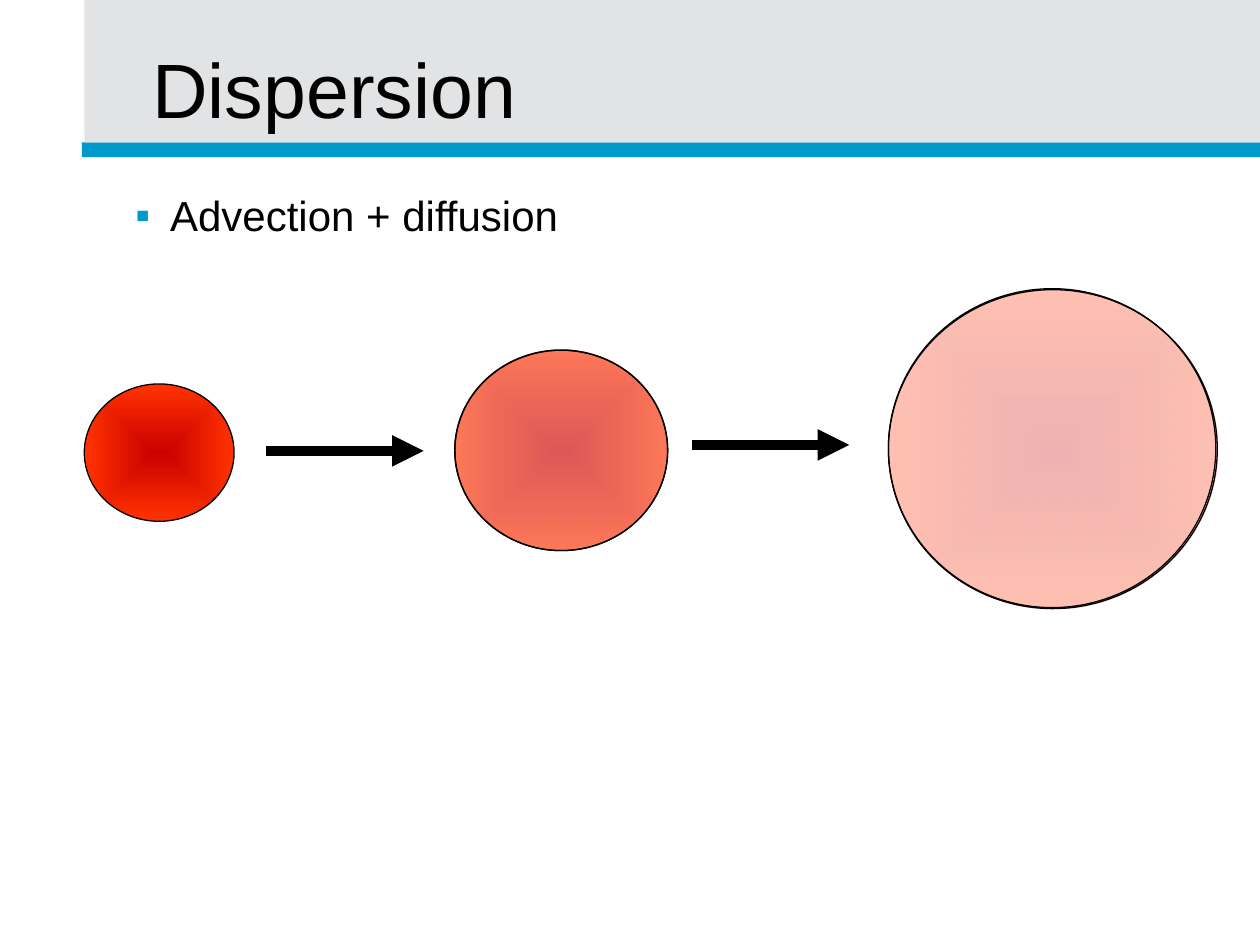
from typing import NamedTuple, Optional

from lxml import etree
from pptx import Presentation
from pptx import util as u
from pptx.dml.color import RGBColor
from pptx.enum import shapes, text
from pptx.oxml import ns

BLACK = RGBColor(0x00, 0x00, 0x00)
BLUE = RGBColor(0x00, 0x99, 0xCC)
GREY = RGBColor(0xE2, 0xE3, 0xE4)
CORE_RED = RGBColor(0xCC, 0x00, 0x00)
EDGE_RED = RGBColor(0xFF, 0x33, 0x00)
FONT = "Arial"


class Band(NamedTuple):
    left: float
    top: float
    width: float
    height: float
    color: RGBColor


class Plume(NamedTuple):
    left: float
    top: float
    width: float
    height: float
    opacity: Optional[int]


class Arrow(NamedTuple):
    left: float
    y: float


class Label(NamedTuple):
    left: float
    top: float
    width: float
    height: float
    wording: str
    size: int
    anchor: text.MSO_ANCHOR
    inset: float
    bullet: Optional[str] = None


BANDS = [
    Band(1.65, 2.87, 23.75, 0.3, BLUE),
    Band(1.7, 0, 23.7, 2.87, GREY),
]
LABELS = [
    Label(3.07, 0.23, 20.62, 2.59, "Dispersion", 44, text.MSO_ANCHOR.BOTTOM, 0.13),
    Label(1.73, 3.58, 22.81, 3.28, "Advection + diffusion", 24,
          text.MSO_ANCHOR.TOP, 0.25, "▪"),
]
PLUMES = [
    Plume(1.7, 7.74, 3.02, 2.77, 100),
    Plume(9.17, 7.06, 4.29, 4.04, 65),
    Plume(17.91, 5.84, 6.63, 6.43, 30),
]
OUTLINES = [
    Plume(9.17, 7.06, 4.29, 4.04, None),
    Plume(17.91, 5.82, 6.6, 6.43, None),
]
ARROWS = [Arrow(5.36, 9.09), Arrow(13.94, 8.97)]
ARROW_LENGTH = 3.18


def add_child(parent, tag: str, **attributes: str):
    return etree.SubElement(parent, ns.qn(tag), attributes)


def add_band(slide, band: Band) -> None:
    shape = slide.shapes.add_shape(
        shapes.MSO_SHAPE.RECTANGLE, *(u.Cm(length) for length in band[:4]))
    shape.shadow.inherit = False
    shape.fill.solid()
    shape.fill.fore_color.rgb = band.color
    shape.line.fill.background()


def add_label(slide, label: Label) -> None:
    box = slide.shapes.add_textbox(*(u.Cm(length) for length in label[:4]))
    frame = box.text_frame
    frame.text = label.wording
    frame.word_wrap = True
    frame.vertical_anchor = label.anchor
    frame.margin_left = frame.margin_right = 0
    frame.margin_top = u.Cm(label.inset)
    frame.margin_bottom = u.Cm(0.13)
    paragraph = frame.paragraphs[0]
    if label.bullet:
        properties = paragraph._p.get_or_add_pPr()
        properties.set("marL", str(u.Cm(1.7)))
        properties.set("indent", str(u.Cm(-0.7)))
        color = add_child(properties, "a:buClr")
        add_child(color, "a:srgbClr", val=str(BLUE))
        add_child(properties, "a:buFont", typeface=FONT)
        add_child(properties, "a:buChar", char=label.bullet)
    for run in paragraph.runs:
        run.font.name = FONT
        run.font.size = u.Pt(label.size)
        run.font.color.rgb = BLACK


def fill_from_core(shape, opacity: int) -> None:
    shape.fill.gradient()
    for stop, color in zip(shape.fill.gradient_stops, (CORE_RED, EDGE_RED)):
        stop.color.rgb = color
    gradient = shape._element.spPr.find(ns.qn("a:gradFill"))
    if opacity < 100:
        for color in gradient.iter(ns.qn("a:srgbClr")):
            add_child(color, "a:alpha", val=str(opacity * 1000))
    gradient.remove(gradient.find(ns.qn("a:lin")))
    path = add_child(gradient, "a:path", path="rect")
    add_child(path, "a:fillToRect", l="50000", t="50000", r="50000", b="50000")


def add_plume(slide, plume: Plume) -> None:
    shape = slide.shapes.add_shape(
        shapes.MSO_SHAPE.OVAL, *(u.Cm(length) for length in plume[:4]))
    shape.shadow.inherit = False
    if plume.opacity is None:
        shape.fill.background()
    else:
        fill_from_core(shape, plume.opacity)
    shape.line.color.rgb = BLACK
    shape.line.width = u.Pt(0.75)


def add_arrow(slide, arrow: Arrow) -> None:
    connector = slide.shapes.add_connector(
        shapes.MSO_CONNECTOR.STRAIGHT, u.Cm(arrow.left), u.Cm(arrow.y),
        u.Cm(arrow.left + ARROW_LENGTH), u.Cm(arrow.y))
    connector.line.color.rgb = BLACK
    connector.line.width = u.Pt(6)
    add_child(connector.line._get_or_add_ln(), "a:tailEnd", type="triangle")
    add_child(connector._element.spPr, "a:effectLst")


def main() -> None:
    """Build the slide on dispersion as spreading, fading plumes."""
    presentation = Presentation()
    presentation.slide_width = u.Cm(25.4)
    presentation.slide_height = u.Cm(19.05)
    slide = presentation.slides.add_slide(presentation.slide_layouts[6])
    for band in BANDS:
        add_band(slide, band)
    for label in LABELS:
        add_label(slide, label)
    for plume in PLUMES:
        add_plume(slide, plume)
    for arrow in ARROWS:
        add_arrow(slide, arrow)
    for outline in OUTLINES:
        add_plume(slide, outline)
    presentation.save("out.pptx")


if __name__ == "__main__":
    main()
